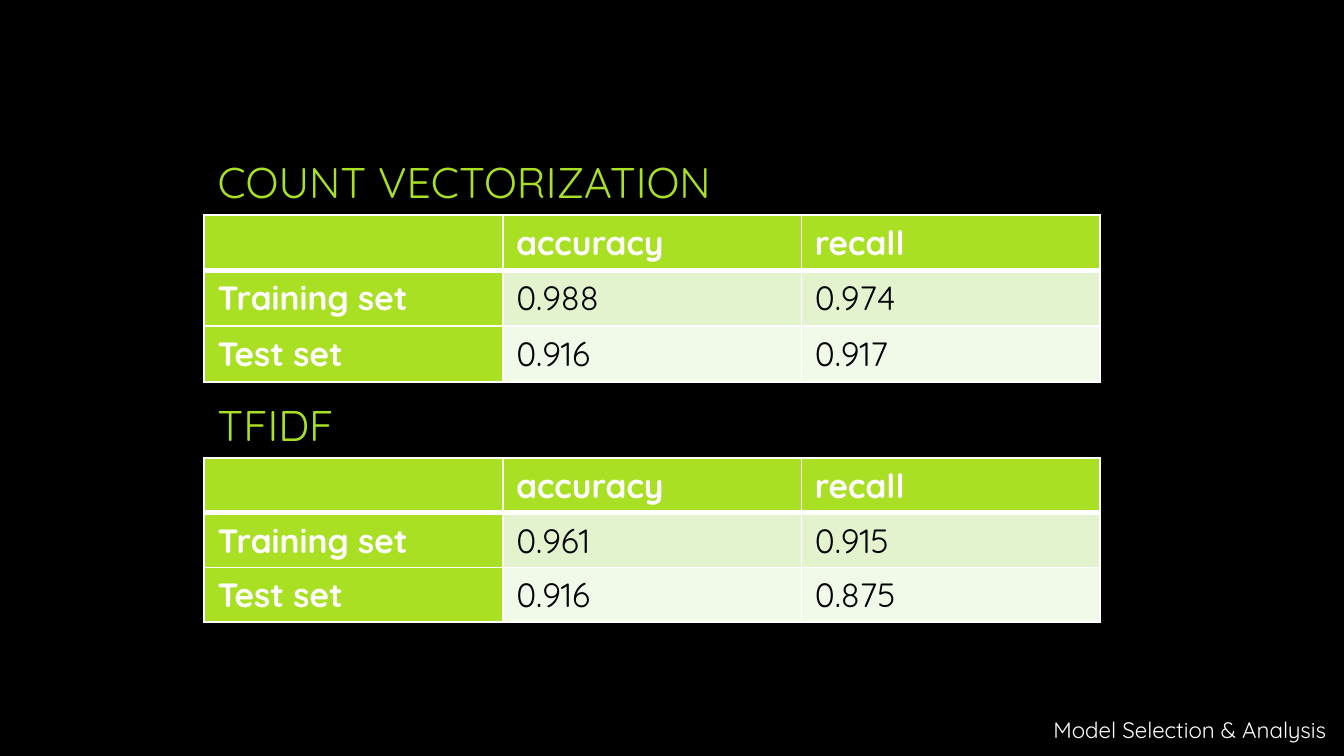
from lxml.etree import SubElement
from pptx import Presentation
from pptx.dml.color import RGBColor
from pptx.enum.text import MSO_ANCHOR, PP_ALIGN
from pptx.oxml import parse_xml
from pptx.oxml.ns import nsdecls, qn
from pptx.util import Pt

FONT = "Quicksand"
HUE = {
    "back": "000000",
    "lime": "A9E023",
    "mint": "E2F3CD",
    "pale": "F1F9E8",
    "white": "FFFFFF",
    "black": "000000",
}
HEAD = ["", "accuracy", "recall"]
BLOCKS = [
    ("COUNT VECTORIZATION", [("Training set", "0.988", "0.974"),
                             ("Test set", "0.916", "0.917")]),
    ("TFIDF", [("Training set", "0.961", "0.915"),
               ("Test set", "0.916", "0.875")]),
]
FOOT = "Model Selection & Analysis"
BANDS = ["lime", "mint", "pale"]
LEFT, TOP, STEP = 109.4, 82.1, 130.3
CAP_W, CAP_H = 336, 33.1
GRID_W, ROW_H = 480, 29.3


def paint(font, size, hue, bold=False):
    font.name = FONT
    font.size = Pt(size)
    font.bold = bold
    font.color.rgb = RGBColor.from_string(HUE[hue])


def place(shape, x, y, w, h):
    shape.left, shape.top = Pt(x), Pt(y)
    shape.width, shape.height = Pt(w), Pt(h)
    frame = shape.text_frame
    frame.word_wrap = True
    frame.vertical_anchor = MSO_ANCHOR.MIDDLE
    return frame


def caption(shape, text, y):
    frame = place(shape, LEFT, y, CAP_W, CAP_H)
    para = frame.paragraphs[0]
    para.alignment = PP_ALIGN.LEFT
    para.line_spacing = 0.9
    run = para.add_run()
    run.text = text
    paint(run.font, 23, "lime")
    glow = parse_xml(
        f'<a:effectLst {nsdecls("a")}>'
        '<a:outerShdw blurRad="38100" dist="25400" dir="2700000">'
        f'<a:srgbClr val="{HUE["lime"]}"><a:alpha val="45000"/></a:srgbClr>'
        '</a:outerShdw></a:effectLst>')
    run.font._element.find(qn("a:solidFill")).addnext(glow)


def border(cell, row):
    props = cell._tc.get_or_add_tcPr()
    wide = {"T": 3 if row == 1 else 1, "B": 3 if row == 0 else 1}
    for spot, side in enumerate("LRTB"):
        line = parse_xml(
            f'<a:ln{side} {nsdecls("a")} w="{Pt(wide.get(side, 1))}"/>')
        fill = SubElement(line, qn("a:solidFill"))
        SubElement(fill, qn("a:srgbClr"), val=HUE["white"])
        props.insert(spot, line)


def grid(slide, rows, y):
    count = len(rows)
    table = slide.shapes.add_table(
        count, len(HEAD), Pt(LEFT), Pt(y), Pt(GRID_W), Pt(ROW_H * count)).table
    table.first_col = True
    for col in table.columns:
        col.width = Pt(GRID_W / len(HEAD))
    for r, row in enumerate(rows):
        table.rows[r].height = Pt(ROW_H)
        for c, text in enumerate(row):
            cell = table.cell(r, c)
            label = r == 0 or c == 0
            cell.fill.solid()
            hue = "lime" if label else BANDS[r]
            cell.fill.fore_color.rgb = RGBColor.from_string(HUE[hue])
            border(cell, r)
            cell.text = text
            paint(cell.text_frame.paragraphs[0].font, 18,
                  "white" if label else "black", label)


def main():
    deck = Presentation()
    deck.slide_width, deck.slide_height = Pt(720), Pt(405)
    slide = deck.slides.add_slide(deck.slide_layouts[5])
    slide.background.fill.solid()
    slide.background.fill.fore_color.rgb = RGBColor.from_string(HUE["back"])

    for i, (name, rows) in enumerate(BLOCKS):
        y = TOP + i * STEP
        box = slide.shapes.add_textbox(0, 0, 0, 0) if i else slide.shapes.title
        caption(box, name, y)
        grid(slide, [HEAD] + rows, y + CAP_H)

    frame = place(slide.shapes.add_textbox(0, 0, 0, 0), 555, 376.7, 165, 28)
    frame.margin_left = frame.margin_right = 0
    frame.margin_top = frame.margin_bottom = 0
    para = frame.paragraphs[0]
    para.text = FOOT
    para.alignment = PP_ALIGN.CENTER
    paint(para.font, 12, "white")
    deck.save("out.pptx")


if __name__ == "__main__":
    main()
